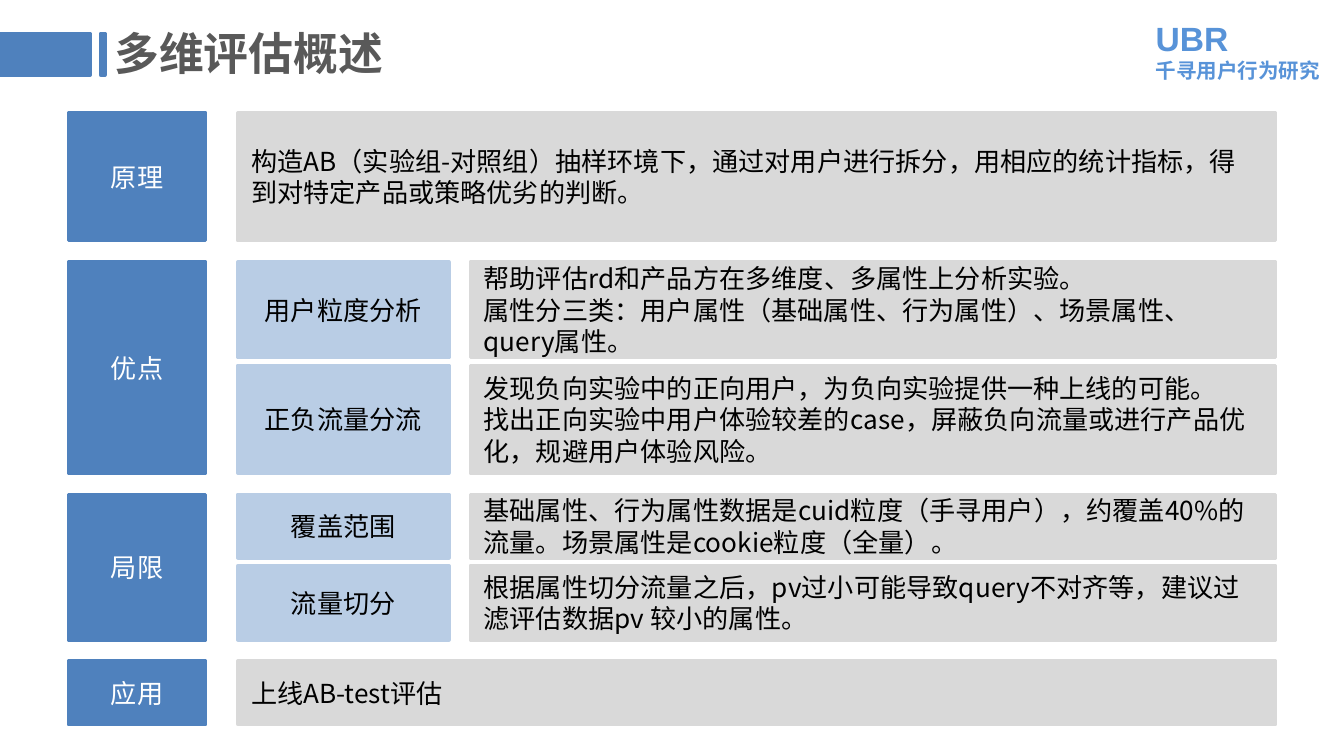
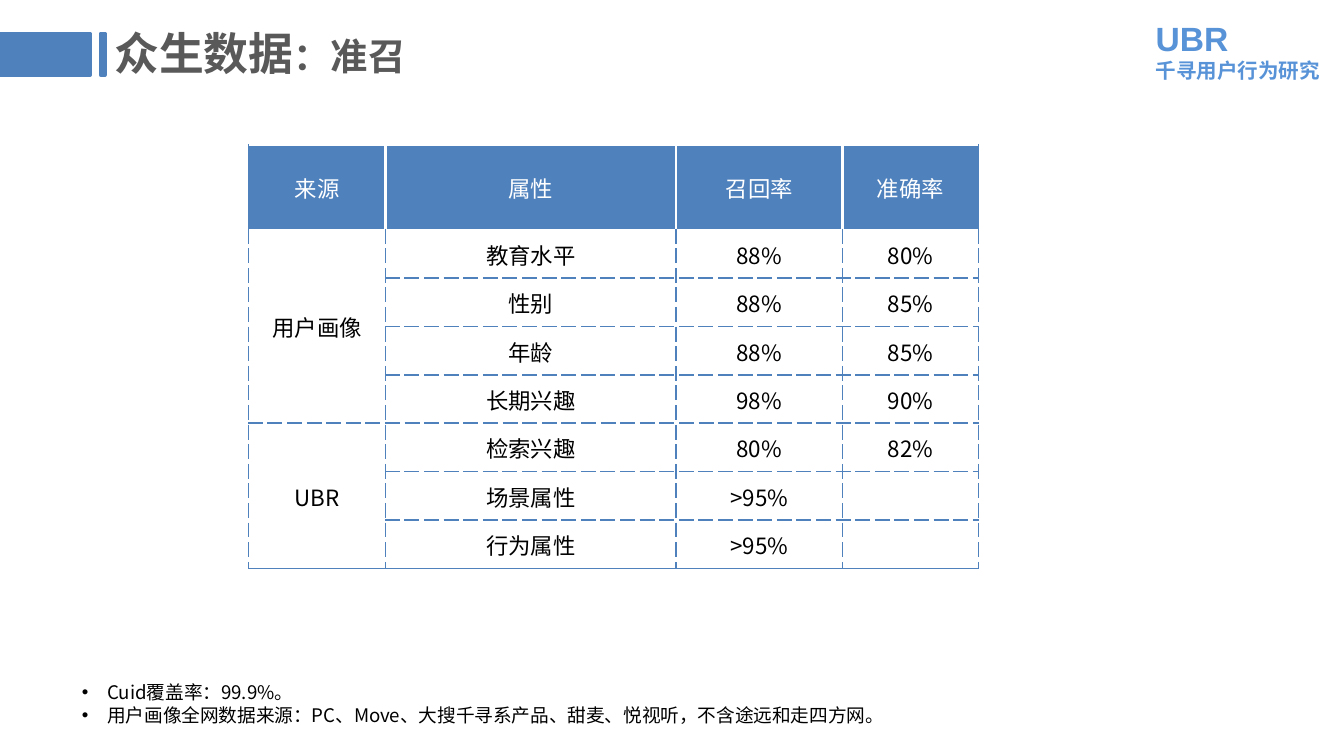
from lxml import etree
from pptx import Presentation
from pptx import util as u
from pptx.dml.color import RGBColor
from pptx.enum import shapes, text
from pptx.oxml import ns

WIDTH = 10
HEIGHT = WIDTH * 9 / 16
FONT = "Noto Sans CJK SC"
COLORS = {
    "blue": "4F81BD", "pale": "B9CDE5", "grey": "D9D9D9", "brand": "5893D8",
    "title": "595959", "white": "FFFFFF", "black": "000000",
}
BRAND = [("UBR", 18, "Arial"), ("千寻用户行为研究", 11, FONT)]

# Each section: label, then rows of (height, topic or None, paragraphs)
OVERVIEW_TITLE = [("多维评估概述", 24)]
SECTIONS = [
    ("原理", [
        (0.95, None, ["构造AB（实验组-对照组）抽样环境下，通过对用户进行拆分，用相应的统计指标，得到对特定产品或策略优劣的判断。"]),
    ]),
    ("优点", [
        (0.71, "用户粒度分析", ["帮助评估rd和产品方在多维度、多属性上分析实验。",
                          "属性分三类：用户属性（基础属性、行为属性）、场景属性、query属性。"]),
        (0.8, "正负流量分流", ["发现负向实验中的正向用户，为负向实验提供一种上线的可能。",
                         "找出正向实验中用户体验较差的case，屏蔽负向流量或进行产品优化，规避用户体验风险。"]),
    ]),
    ("局限", [
        (0.47, "覆盖范围", ["基础属性、行为属性数据是cuid粒度（手寻用户），约覆盖40%的流量。场景属性是cookie粒度（全量）。"]),
        (0.55, "流量切分", ["根据属性切分流量之后，pv过小可能导致query不对齐等，建议过滤评估数据pv 较小的属性。"]),
    ]),
    ("应用", [(0.47, None, ["上线AB-test评估"])]),
]
SECTIONS_TOP, SECTION_GAP, ROW_GAP = 0.84, 0.16, 0.06
LABEL_LEFT, LABEL_WIDTH = 0.51, 1.02
TOPIC_LEFT, TOPIC_WIDTH = 1.77, 1.57
DETAIL_LEFT, RIGHT_EDGE = 3.5, 9.49

RECALL_TITLE = [("众生数据", 24), ("：准召", 20)]
HEADER = ["来源", "属性", "召回率", "准确率"]
SOURCES = [
    ("用户画像", [("教育水平", "88%", "80%"), ("性别", "88%", "85%"),
              ("年龄", "88%", "85%"), ("长期兴趣", "98%", "90%")]),
    ("UBR", [("检索兴趣", "80%", "82%"), ("场景属性", ">95%", ""), ("行为属性", ">95%", "")]),
]
COLUMN_WIDTHS = [1.02, 2.16, 1.24, 1.01]
HEADER_HEIGHT, ROW_HEIGHT = 0.63, 0.36
NOTES = ["Cuid覆盖率：99.9%。",
         "用户画像全网数据来源：PC、Move、大搜千寻系产品、甜麦、悦视听，不含途远和走四方网。"]


def rgb(name):
    return RGBColor.from_string(COLORS[name])


def format_paragraph(para, size, color, name=FONT, bold=False, align=text.PP_ALIGN.LEFT):
    para.alignment = align
    font = para.font
    font.size, font.bold, font.name = u.Pt(size), bold, name
    font.color.rgb = rgb(color)
    latin = para._p.pPr.find(ns.qn("a:defRPr")).find(ns.qn("a:latin"))
    latin.addnext(etree.Element(ns.qn("a:ea"), typeface=name))


def paragraphs(frame, lines):
    """Fill the frame with one paragraph per line and yield each of them."""
    for index, line in enumerate(lines):
        para = frame.add_paragraph() if index else frame.paragraphs[0]
        para.add_run().text = line
        yield para


def add_block(page, left, top, width, height, color, lines=(), ink="black", centred=False):
    block = page.shapes.add_shape(shapes.MSO_SHAPE.RECTANGLE,
                                  *map(u.Inches, (left, top, width, height)))
    block.shadow.inherit = False
    block.fill.solid()
    block.fill.fore_color.rgb = block.line.color.rgb = rgb(color)
    block.line.width = u.Pt(2)
    frame = block.text_frame
    frame.word_wrap = True
    frame.vertical_anchor = text.MSO_ANCHOR.MIDDLE
    align = text.PP_ALIGN.CENTER if centred else text.PP_ALIGN.LEFT
    for para in paragraphs(frame, lines):
        format_paragraph(para, 14, ink, align=align)


def add_text_box(page, left, top, width, height):
    box = page.shapes.add_textbox(*map(u.Inches, (left, top, width, height)))
    box.text_frame.word_wrap = True
    return box.text_frame


def add_page(deck, title_spans):
    """Add a slide with the shared brand text, title and left bands."""
    page = deck.slides.add_slide(deck.slide_layouts[5])
    frame = add_text_box(page, 8.5, -0.02, WIDTH - 8.5, 0.79)
    frame.vertical_anchor = text.MSO_ANCHOR.MIDDLE
    for para, (_, size, name) in zip(paragraphs(frame, [line for line, *_ in BRAND]), BRAND):
        format_paragraph(para, size, "brand", name, bold=True)

    title = page.shapes.title
    title.left, title.top, title.width, title.height = map(u.Inches, (0.75, 0.14, 7.56, 0.55))
    frame = title.text_frame
    frame.auto_size = text.MSO_AUTO_SIZE.NONE
    frame.vertical_anchor = text.MSO_ANCHOR.TOP
    para = frame.paragraphs[0]
    base_size = title_spans[0][1]
    format_paragraph(para, base_size, "title", bold=True)
    for words, size in title_spans:
        span = para.add_run()
        span.text = words
        if size != base_size:
            span.font.size = u.Pt(size)

    for left, width in [(0, 0.67), (0.75, 0.03)]:
        add_block(page, left, 0.25, width, 0.31, "blue")
    return page


def build_overview(deck):
    page = add_page(deck, OVERVIEW_TITLE)
    top = SECTIONS_TOP
    for label, rows in SECTIONS:
        height = sum(row[0] for row in rows) + ROW_GAP * (len(rows) - 1)
        add_block(page, LABEL_LEFT, top, LABEL_WIDTH, height, "blue", [label], "white", True)
        row_top = top
        for row_height, topic, lines in rows:
            left = DETAIL_LEFT if topic else TOPIC_LEFT
            if topic:
                add_block(page, TOPIC_LEFT, row_top, TOPIC_WIDTH, row_height,
                          "pale", [topic], centred=True)
            add_block(page, left, row_top, RIGHT_EDGE - left, row_height, "grey", lines)
            row_top += row_height + ROW_GAP
        top += height + SECTION_GAP


def set_borders(cell, borders):
    """Borders are (colour, points, dash) for left, right, top and bottom."""
    properties = cell._tc.get_or_add_tcPr()
    for index, (side, (color, points, dash)) in enumerate(zip("LRTB", borders)):
        line = etree.Element(ns.qn(f"a:ln{side}"), w=str(u.Pt(points)))
        fill = etree.SubElement(line, ns.qn("a:solidFill"))
        etree.SubElement(fill, ns.qn("a:srgbClr"), val=COLORS[color])
        etree.SubElement(line, ns.qn("a:prstDash"), val=dash)
        properties.insert(index, line)


def cell_borders(top_row, bottom_row, column, last_row, last_column):
    white, solid, dashed = ("white", 1.5, "solid"), ("blue", 1, "solid"), ("blue", 1, "sysDash")
    if top_row == 0:
        return (white if column else solid, solid if column == last_column else white,
                white, white)
    return (dashed, dashed, white if top_row == 1 else dashed,
            solid if bottom_row == last_row else dashed)


def add_recall_table(page):
    grid = [HEADER]
    merges = {}
    for source, rows in SOURCES:
        merges[len(grid)] = len(grid) + len(rows) - 1
        grid += [[source if index == 0 else "", *row] for index, row in enumerate(rows)]
    last_row, last_column = len(grid) - 1, len(HEADER) - 1
    height = HEADER_HEIGHT + ROW_HEIGHT * last_row
    table = page.shapes.add_table(len(grid), len(HEADER), *map(
        u.Inches, (1.85, 1.08, sum(COLUMN_WIDTHS), height))).table
    table.first_row = table.horz_banding = False
    for column, width in zip(table.columns, COLUMN_WIDTHS):
        column.width = u.Inches(width)

    for r, values in enumerate(grid):
        table.rows[r].height = u.Inches(ROW_HEIGHT if r else HEADER_HEIGHT)
        for c, value in enumerate(values):
            cell = table.cell(r, c)
            cell.text = value
            cell.vertical_anchor = text.MSO_ANCHOR.MIDDLE
            cell.margin_left = cell.margin_right = cell.margin_top = u.Inches(0.01)
            cell.margin_bottom = 0
            format_paragraph(cell.text_frame.paragraphs[0], 12, "black" if r else "white",
                             align=text.PP_ALIGN.CENTER)
            if r:
                cell.fill.background()
            else:
                cell.fill.solid()
                cell.fill.fore_color.rgb = rgb("blue")
            bottom_row = merges.get(r, r) if c == 0 else r
            set_borders(cell, cell_borders(r, bottom_row, c, last_row, last_column))
    for first, last in merges.items():
        table.cell(first, 0).merge(table.cell(last, 0))


def add_notes_list(page):
    frame = add_text_box(page, LABEL_LEFT, 5.02, 7.72, 0.44)
    frame.auto_size = text.MSO_AUTO_SIZE.SHAPE_TO_FIT_TEXT
    for para in paragraphs(frame, NOTES):
        format_paragraph(para, 10, "black")
        properties = para._p.pPr
        indent = u.Inches(0.19)
        properties.set("marL", str(indent))
        properties.set("indent", str(-indent))
        mark = properties.find(ns.qn("a:defRPr"))
        mark.addprevious(etree.Element(ns.qn("a:buFont"), typeface="Arial"))
        mark.addprevious(etree.Element(ns.qn("a:buChar"), char="•"))


def build_recall(deck):
    page = add_page(deck, RECALL_TITLE)
    add_recall_table(page)
    add_notes_list(page)


def main():
    deck = Presentation()
    deck.slide_width, deck.slide_height = u.Inches(WIDTH), u.Inches(HEIGHT)
    build_overview(deck)
    build_recall(deck)
    deck.save("out.pptx")


if __name__ == "__main__":
    main()
